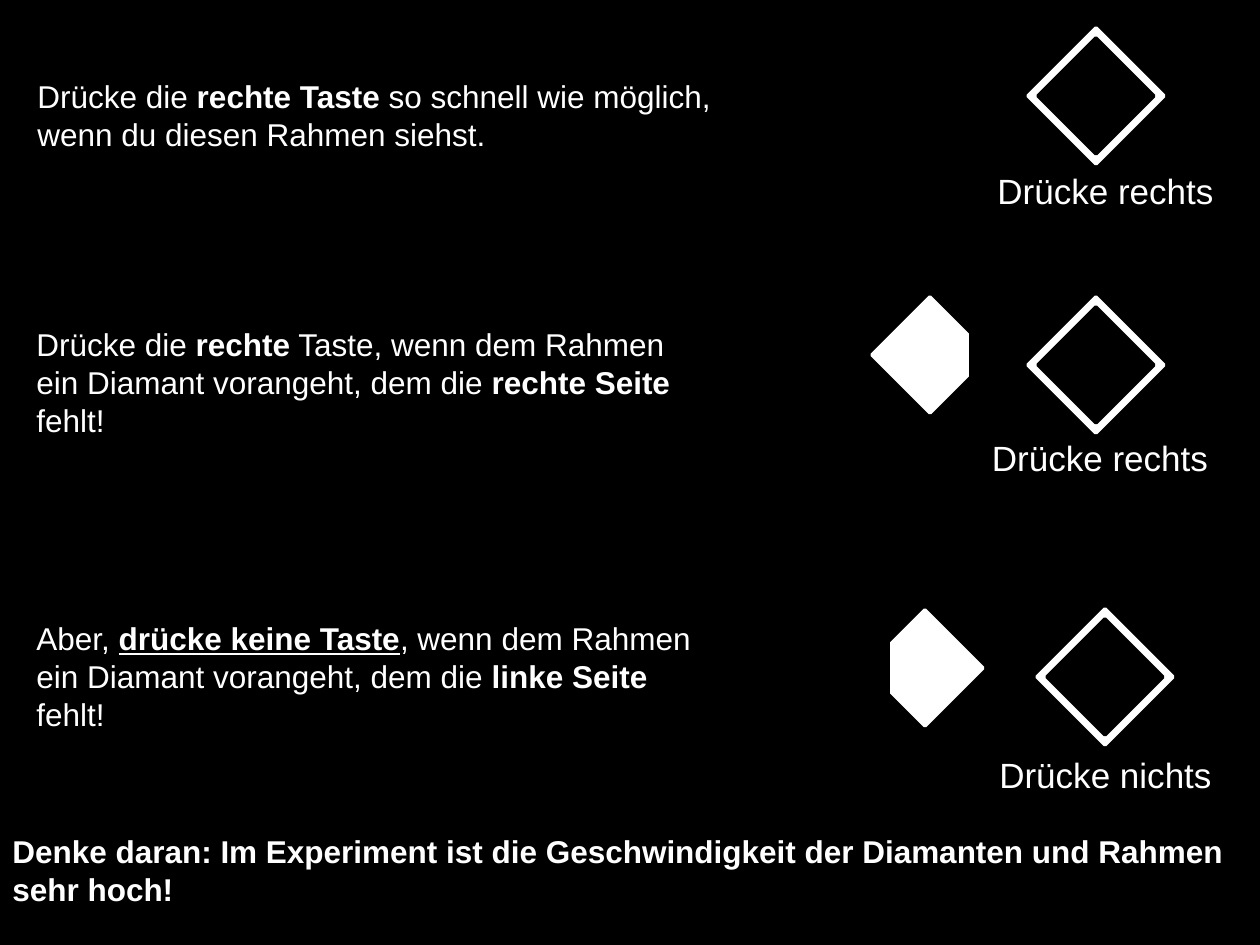
import pptx
import pptx.util
import pptx.dml.color
import pptx.enum.shapes
import pptx.enum.text

PX = 914400 / 126
THEME = {
    "black": pptx.dml.color.RGBColor(0, 0, 0),
    "white": pptx.dml.color.RGBColor(255, 255, 255),
    "font": "Arial",
    "body": pptx.util.Pt(18),
    "label": pptx.util.Pt(20),
    "line": pptx.util.Pt(2),
}
DIAMOND = pptx.enum.shapes.MSO_SHAPE.DIAMOND
RECTANGLE = pptx.enum.shapes.MSO_SHAPE.RECTANGLE
LEFT = pptx.enum.text.PP_ALIGN.LEFT
CENTER = pptx.enum.text.PP_ALIGN.CENTER
FRAME, GEM, RIM = 136, 116, 10
CUT_W, CUT_H = 26, 63

prs = pptx.Presentation()
prs.slide_width, prs.slide_height = round(1260 * PX), round(945 * PX)
s = prs.slides.add_slide(prs.slide_layouts[6])
s.background.fill.solid()
s.background.fill.fore_color.rgb = THEME["black"]


def add_figure(kind, color, *box):
    sp = s.shapes.add_shape(kind, *[round(v * PX) for v in box])
    sp.shadow.inherit = False
    sp.fill.solid()
    sp.fill.fore_color.rgb = THEME[color]
    sp.line.color.rgb = THEME[color]
    sp.line.width = THEME["line"]


def add_text(box, runs, size, align):
    """Add one paragraph; each run is (text, style), style holding b and/or u."""
    tf = s.shapes.add_textbox(*[round(v * PX) for v in box]).text_frame
    tf.word_wrap = True
    tf.auto_size = pptx.enum.text.MSO_AUTO_SIZE.SHAPE_TO_FIT_TEXT
    p = tf.paragraphs[0]
    p.alignment = align
    for text, style in runs:
        r = p.add_run()
        r.text = text
        r.font.name = THEME["font"]
        r.font.size = THEME[size]
        r.font.color.rgb = THEME["white"]
        r.font.bold = "b" in style
        r.font.underline = "u" in style


# Solid diamonds, each with one corner covered
for x, y, cut_x, cut_y in [(872, 297, 971, 324), (867, 610, 862, 636)]:
    add_figure(DIAMOND, "white", x, y, GEM, GEM)
    add_figure(RECTANGLE, "black", cut_x, cut_y, CUT_W, CUT_H)

# Diamond frames
for x, y in [(1028, 28), (1028, 297), (1037, 609)]:
    add_figure(DIAMOND, "white", x, y, FRAME, FRAME)
    add_figure(DIAMOND, "black", x + RIM, y + RIM, GEM, GEM)

for box, label in [
    ((969, 163, 273, 55), "Drücke rechts"),
    ((958, 430, 284, 55), "Drücke rechts"),
    ((969, 747, 273, 55), "Drücke nichts"),
]:
    add_text(box, [(label, "")], "label", CENTER)

instructions = [
    ((25, 71, 701, 89), [
        ("Drücke die ", ""),
        ("rechte Taste", "b"),
        (" so schnell wie möglich, wenn du diesen Rahmen siehst.", ""),
    ]),
    ((24, 319, 696, 127), [
        ("Drücke die ", ""),
        ("rechte", "b"),
        (" Taste, wenn dem Rahmen ein Diamant vorangeht, dem die ", ""),
        ("rechte Seite", "b"),
        (" fehlt!", ""),
    ]),
    ((24, 613, 701, 127), [
        ("Aber, ", ""),
        ("drücke keine Taste", "bu"),
        (", wenn dem Rahmen ein Diamant vorangeht, dem die ", ""),
        ("linke Seite ", "b"),
        ("fehlt!", ""),
    ]),
    ((0, 826, 1260, 89), [
        ("Denke daran: Im Experiment ist die Geschwindigkeit der Diamanten "
         "und Rahmen sehr hoch!", "b"),
    ]),
]
for box, runs in instructions:
    add_text(box, runs, "body", LEFT)

prs.save("out.pptx")
